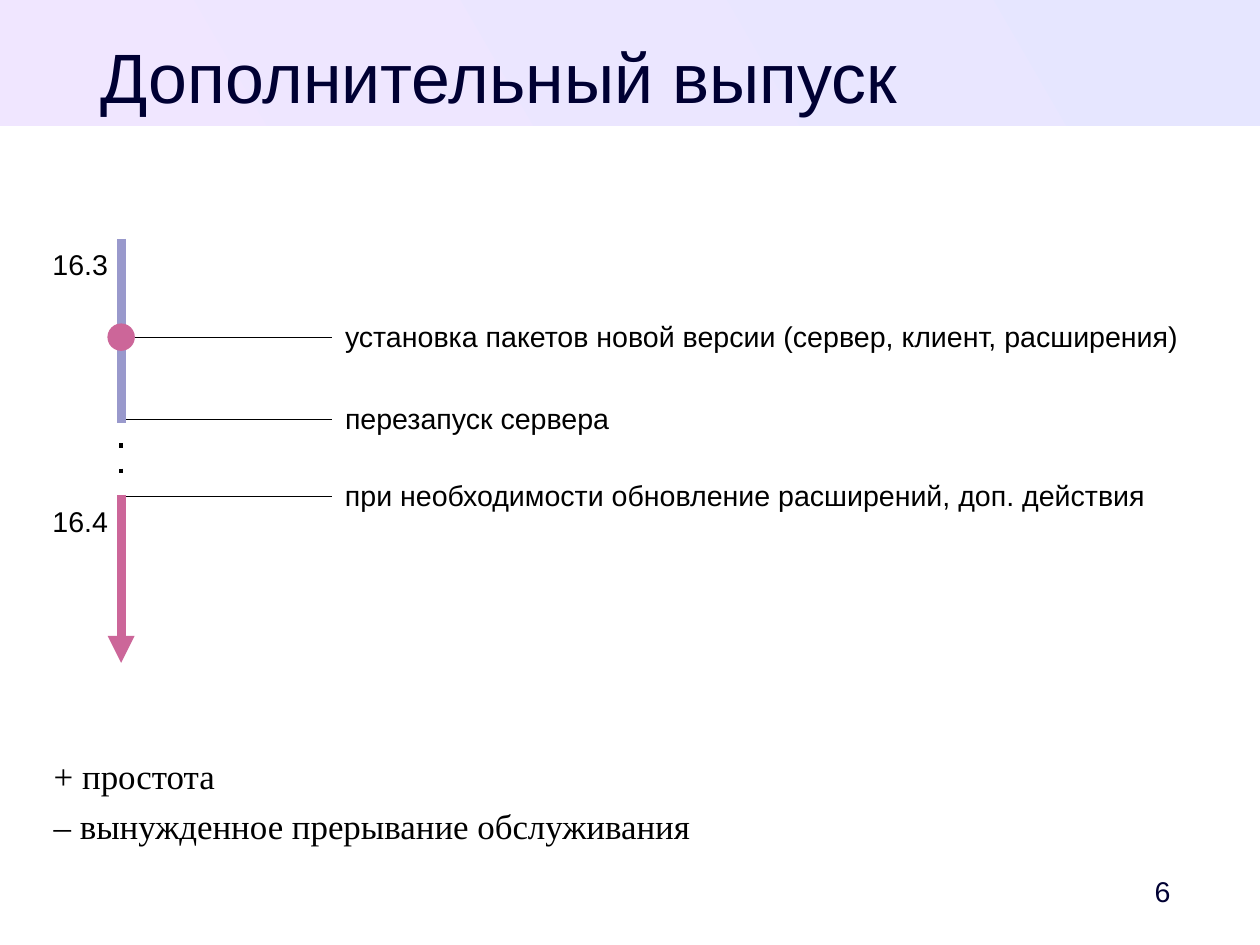
"""Build the slide on a minor release upgrade with its version timeline."""
from lxml import etree
from pptx import Presentation
from pptx import util as u
from pptx.dml import color
from pptx.enum import shapes, text
from pptx.oxml import ns

TITLE = "Дополнительный выпуск"
STEPS = [
    (2.95, "установка пакетов новой версии (сервер, клиент, расширения)", 7.49),
    (3.67, "перезапуск сервера", 2.51),
    (4.34, "при необходимости обновление расширений, доп. действия", 7.2),
]
VERSIONS = [(2.11, "16.3"), (4.36, "16.4")]
VERDICTS = ["+ простота", "– вынужденное прерывание обслуживания"]
PAGE = "6"

WIDTH, HEIGHT = 28 / 2.54, 21 / 2.54
AXIS_X, LEADER_END = 1.06, 2.9
DOT_SIZE, LABEL_HEIGHT = 0.24, 0.38
INK, BLACK, OLD, NEW = "000033", "000000", "9999CC", "CC6699"


def rgb(value):
    return color.RGBColor.from_string(value)


def place(item, left, top, width, height):
    item.left, item.top = u.Inches(left), u.Inches(top)
    item.width, item.height = u.Inches(width), u.Inches(height)


def write(item, lines, size=18, font="Arial", ink=BLACK, align="LEFT",
          anchor="TOP", wrap=False, margins=(0.1, 0.05, 0.1, 0.05), after=0):
    frame = item.text_frame
    frame.text = "\n".join(lines)
    frame.auto_size = text.MSO_AUTO_SIZE.NONE
    frame.word_wrap = wrap
    frame.vertical_anchor = getattr(text.MSO_ANCHOR, anchor)
    (frame.margin_left, frame.margin_top,
     frame.margin_right, frame.margin_bottom) = map(u.Inches, margins)
    for paragraph in frame.paragraphs:
        properties = paragraph._p.get_or_add_pPr()
        properties.set("marL", "0")
        properties.set("indent", "0")
        etree.SubElement(properties, ns.qn("a:buNone"))
        paragraph.alignment = getattr(text.PP_ALIGN, align)
        paragraph.space_before, paragraph.space_after = u.Pt(0), u.Pt(after)
        for run in paragraph.runs:
            run.font.name, run.font.size = font, u.Pt(size)
            run.font.color.rgb = rgb(ink)


def label(slide, box, words, **style):
    write(slide.shapes.add_textbox(*map(u.Inches, box)), [words], **style)


def draw_line(slide, start, end, ink, width, arrow=False, gap=None):
    line = slide.shapes.add_connector(
        shapes.MSO_CONNECTOR.STRAIGHT, *map(u.Inches, start + end))
    line.line.color.rgb = rgb(ink)
    stroke = line.line._get_or_add_ln()
    stroke.set("w", str(int(u.Pt(width))))
    if gap:
        dashes = etree.SubElement(stroke, ns.qn("a:custDash"))
        etree.SubElement(dashes, ns.qn("a:ds"), d="100000", sp=str(gap * 1000))
    if arrow:
        etree.SubElement(stroke, ns.qn("a:tailEnd"), type="triangle")
    etree.SubElement(line.element.spPr, ns.qn("a:effectLst"))


def add_preset(slide, preset, box):
    item = slide.shapes.add_shape(preset, *map(u.Inches, box))
    item.shadow.inherit = False
    item.line.fill.background()
    return item


def main():
    deck = Presentation()
    deck.slide_width, deck.slide_height = u.Inches(WIDTH), u.Inches(HEIGHT)
    slide = deck.slides.add_slide(deck.slide_layouts[1])

    band = add_preset(slide, shapes.MSO_SHAPE.RECTANGLE, (0, 0, WIDTH, 1.1))
    band.fill.gradient()
    band.fill.gradient_angle = 210
    for stop, tint in zip(band.fill.gradient_stops, ("E6E6FF", "F0E6FF")):
        stop.color.rgb = rgb(tint)
    slide.shapes.element.insert(2, band.element)

    title, verdicts = slide.shapes.title, slide.placeholders[1]
    place(title, 0.47, 0.29, 7.8, 0.69)
    write(title, [TITLE], size=44, ink=INK, align="CENTER", anchor="MIDDLE",
          wrap=True, margins=(0, 0.05, 0, 0))
    place(verdicts, 0.47, 1.89, 10.08, 5.71)
    write(verdicts, VERDICTS, size=22, font="Times New Roman", wrap=True,
          margins=(0, 4.71, 0, 0), after=5.2)

    for y, step, width in STEPS:
        draw_line(slide, (AXIS_X, y), (LEADER_END, y), BLACK, 0)
        label(slide, (2.92, y - 0.21, width, LABEL_HEIGHT), step)
    for top, version in VERSIONS:
        label(slide, (0.36, top, 0.68, LABEL_HEIGHT), version)

    draw_line(slide, (AXIS_X, 2.09), (AXIS_X, 3.7), OLD, 5.67)
    draw_line(slide, (AXIS_X, 4.33), (AXIS_X, 5.8), NEW, 5.67, arrow=True)
    draw_line(slide, (AXIS_X, 3.88), (AXIS_X, 4.2), BLACK, 2.83, gap=457)
    install_dot = add_preset(
        slide, shapes.MSO_SHAPE.OVAL,
        (AXIS_X - DOT_SIZE / 2, STEPS[0][0] - DOT_SIZE / 2, DOT_SIZE, DOT_SIZE))
    install_dot.fill.solid()
    install_dot.fill.fore_color.rgb = rgb(NEW)

    label(slide, (9.69, 7.56, 0.87, 0.47), PAGE, ink=INK, align="RIGHT",
          anchor="MIDDLE", wrap=True, margins=(0.1, 0.05, 0.32, 0.05))
    deck.save("out.pptx")


if __name__ == "__main__":
    main()
